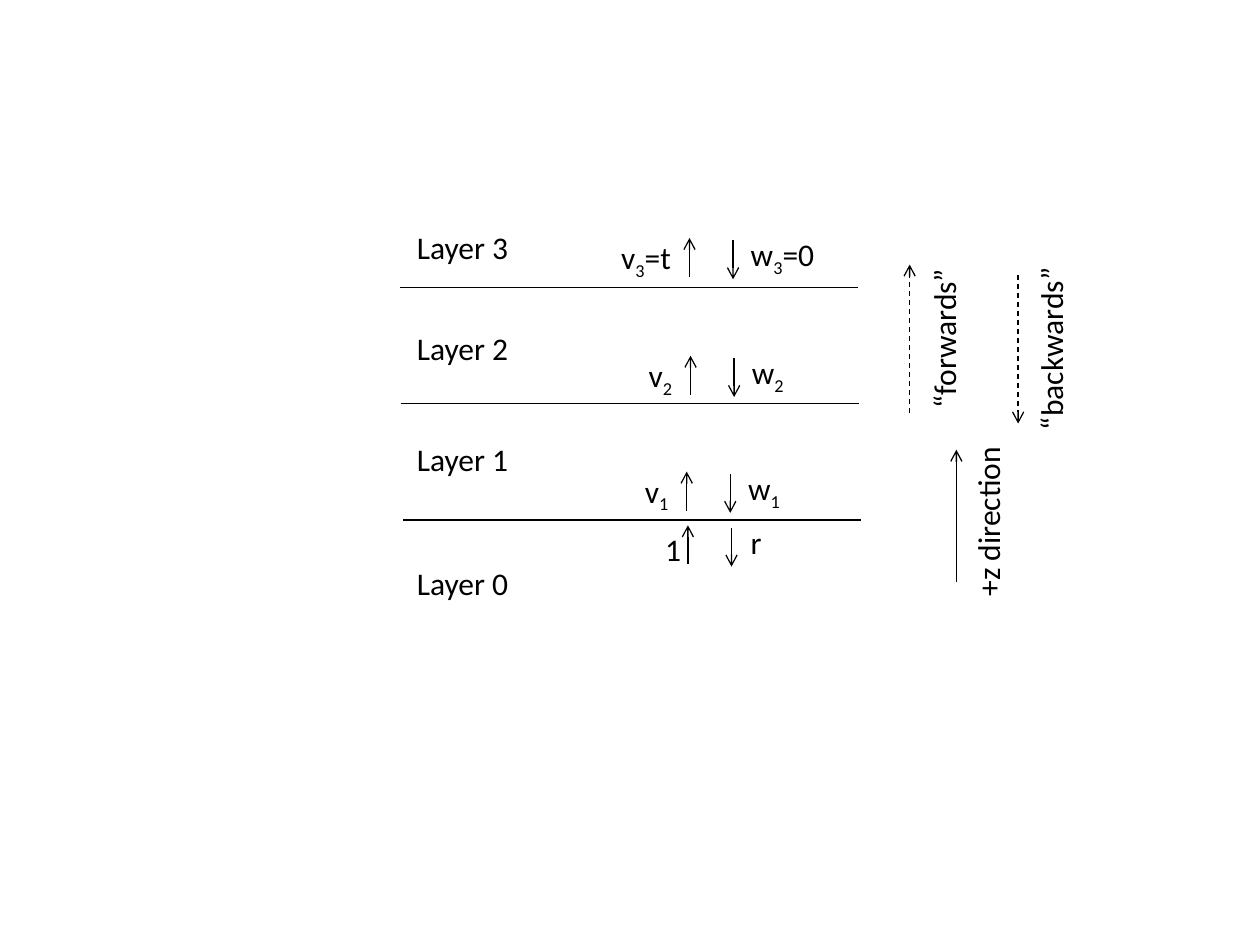
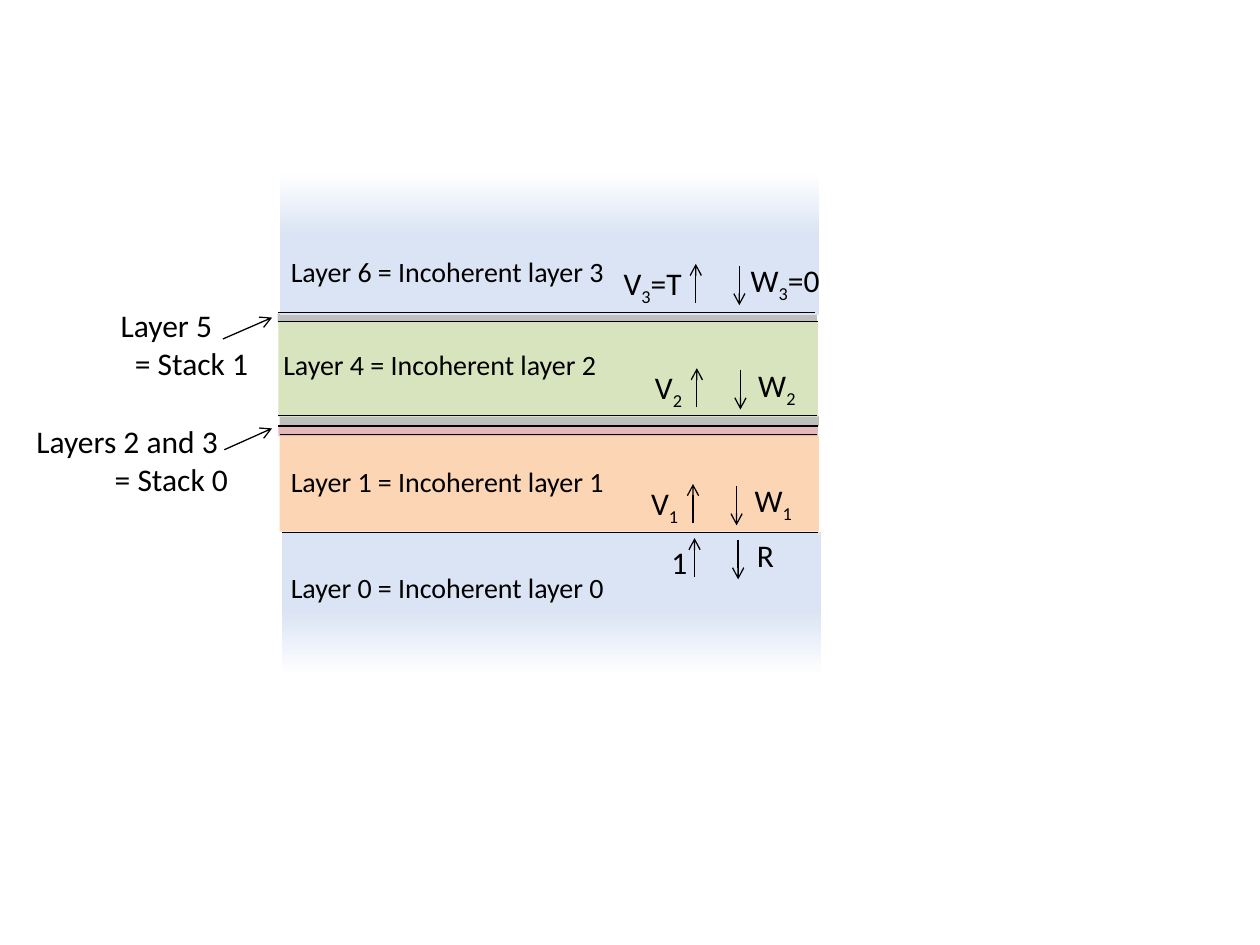
from lxml import etree
from pptx import Presentation
from pptx.dml.color import RGBColor
from pptx.enum.dml import MSO_LINE
from pptx.enum.shapes import MSO_CONNECTOR, MSO_SHAPE
from pptx.enum.text import MSO_AUTO_SIZE
from pptx.oxml.ns import qn
from pptx.util import Pt

STRAIGHT = MSO_CONNECTOR.STRAIGHT
RECTANGLE = MSO_SHAPE.RECTANGLE
DASH = MSO_LINE.DASH
FIT_SHAPE = MSO_AUTO_SIZE.SHAPE_TO_FIT_TEXT

BLACK = "000000"
WHITE = "FFFFFF"
BLUE = "DBE4F4"
GREEN = "D7E4BD"
ORANGE = "FCD5B5"
PINK = "E6B9B8"
GREY = "BFBFBF"
FONT = "Calibri"
LINE_WIDTH = 0.75
BODY_SIZE = 18
LABEL_SIZE = 16
LABEL_HEIGHT = 29
ARROW_LENGTH = 22.3
ARROW_GAP = 24.9


def color(value):
    return RGBColor.from_string(value)


def add_line(slide, start, end, arrow=False, dash=None):
    line = slide.shapes.add_connector(STRAIGHT, *map(Pt, start + end))
    line.line.color.rgb = color(BLACK)
    line.line.width = Pt(LINE_WIDTH)
    if dash:
        line.line.dash_style = dash
    properties = line._element.spPr
    if arrow:
        outline = properties.find(qn("a:ln"))
        etree.SubElement(outline, qn("a:tailEnd"), type="arrow")
    etree.SubElement(properties, qn("a:effectLst"))


def add_text(slide, text, box, size=BODY_SIZE, wrap=False, rotation=0, indent=0):
    label = slide.shapes.add_textbox(*map(Pt, box))
    label.rotation = rotation
    frame = label.text_frame
    frame.word_wrap = wrap
    frame.auto_size = FIT_SHAPE
    font_format = {"name": FONT, "size": Pt(size)}
    for row, words in enumerate(text.split("\n")):
        paragraph = frame.add_paragraph() if row else frame.paragraphs[0]
        if row and indent:
            paragraph._p.get_or_add_pPr().set("marL", str(Pt(indent)))
        for part, piece in enumerate(words.split("_")):
            run = paragraph.add_run()
            run.text = piece
            for key, value in font_format.items():
                setattr(run.font, key, value)
            run.font.color.rgb = color(BLACK)
            if part % 2:
                run._r.get_or_add_rPr().set("baseline", "-25000")


def add_band(slide, box, fill, rotation=0, fade=False):
    band = slide.shapes.add_shape(RECTANGLE, *map(Pt, box))
    band.shadow.inherit = False
    band.line.fill.background()
    band.rotation = rotation
    if not fade:
        band.fill.solid()
        band.fill.fore_color.rgb = color(fill)
        return
    band.fill.gradient()
    band.fill.gradient_angle = 270
    for stop, position, shade in zip(band.fill.gradient_stops, (0, 0.45), (WHITE, fill)):
        stop.position = position
        stop.color.rgb = color(shade)


def add_waves(slide, x, top, up, down, up_shift=-3.6):
    down_x = x + ARROW_GAP
    add_line(slide, (x, top + ARROW_LENGTH), (x, top), arrow=True)
    add_line(slide, (down_x, top + 1.3), (down_x, top + 1.3 + ARROW_LENGTH), arrow=True)
    for (text, left, width), shift in ((up, up_shift), (down, -5)):
        add_text(slide, text, (left, top + shift, width, LABEL_HEIGHT))


def build_coherent_layers(slide):
    for left, y in ((228.4, 164.2), (229, 230.6), (230.2, 297.2)):
        add_line(slide, (left, y), (left + 262, y))
    for number, top in enumerate((319, 247.7, 184.3, 126.7)):
        add_text(slide, f"Layer {number}", (231.1, top, 82, LABEL_HEIGHT), wrap=True)

    add_waves(slide, 394, 136, ("v_3_=t", 347.8, 43.9), ("w_3_=0", 421.9, 51.8))
    add_waves(slide, 394.6, 203.3, ("v_2", 363.6, 28.8), ("w_2", 422.6, 33.8))
    add_waves(slide, 392.4, 269.5, ("v_1", 361.4, 28.8), ("w_1", 420.5, 33.8))
    add_waves(slide, 393.1, 300.2, ("1", 373, 23.8), ("r", 421.9, 20.9), -0.7)

    directions = [
        ("+z direction", (514.1, 283, 100.8), 546.5, 332.6, 257, None),
        ("“forwards”", (491.8, 178.6, 95), 519.8, 236.2, 151.2, DASH),
        ("“backwards”", (546.5, 184.3, 108), 581.8, 157, 242, DASH),
    ]
    for text, box, x, start, end, dash in directions:
        add_line(slide, (x, start), (x, end), arrow=True, dash=dash)
        add_text(slide, text, box + (LABEL_HEIGHT,), rotation=270)


def build_incoherent_layers(slide):
    width = 308.2
    bands = [
        (159.8, 249.1, 54.7, ORANGE),
        (159.1, 243.4, 5.8, PINK),
        (159.8, 237.6, 5.8, GREY),
        (159.1, 183.6, 54.7, GREEN),
        (158.6, 179.2, 5, GREY),
    ]
    for left, top, height, fill in bands:
        add_band(slide, (left, top, width, height), fill)
    for left, top, rotation in ((161, 303.8, 180), (159.8, 97.9, 0)):
        add_band(slide, (left, top, width, 82), BLUE, rotation, fade=True)

    boundaries = [
        (159.1, 465.8, 178.6),
        (159.1, 467.3, 183.6),
        (159.1, 466.6, 237.6),
        (159.1, 467.3, 243.4),
        (159.8, 466.6, 248.4),
        (161.3, 467.3, 304.4),
    ]
    for left, right, y in boundaries:
        add_line(slide, (left, y), (right, y))

    layers = [(0, 0, 159.1, 322.6), (1, 1, 159.1, 262), (4, 2, 154.8, 195.1), (6, 3, 159.1, 141.8)]
    for layer, incoherent, left, top in layers:
        add_text(slide, f"Layer {layer} = Incoherent layer {incoherent}",
                 (left, top, 225, 26.6), LABEL_SIZE, wrap=True)

    add_waves(slide, 397.6, 150.8, ("V_3_=T", 349.2, 49), ("W_3_=0", 421.9, 55.4))
    add_waves(slide, 398.2, 210.4, ("V_2", 367.2, 31), ("W_2", 426.2, 36.7))
    add_waves(slide, 396, 276.6, ("V_1", 365, 31), ("W_1", 424.1, 36.7))
    add_waves(slide, 396.9, 307.5, ("1", 376.6, 23.8), ("R", 425.5, 24.5), -0.7)

    stacks = [
        ("Layers 2 and 3\n= Stack 0", (13.7, 237.6, 130.3), 44.8, 128.2, 257),
        ("Layer 5\n= Stack 1", (61.9, 171.4, 96.5), 8.1, 127.4, 193.7),
    ]
    for text, box, indent, x, y in stacks:
        add_text(slide, text, box + (51,), wrap=True, indent=indent)
        add_line(slide, (x, y), (155.5, y - 12.2), arrow=True)


def main():
    deck = Presentation()
    deck.slide_width = Pt(720)
    deck.slide_height = Pt(540)
    blank = deck.slide_layouts[6]
    for build in (build_coherent_layers, build_incoherent_layers):
        build(deck.slides.add_slide(blank))
    deck.save("out.pptx")


main()
